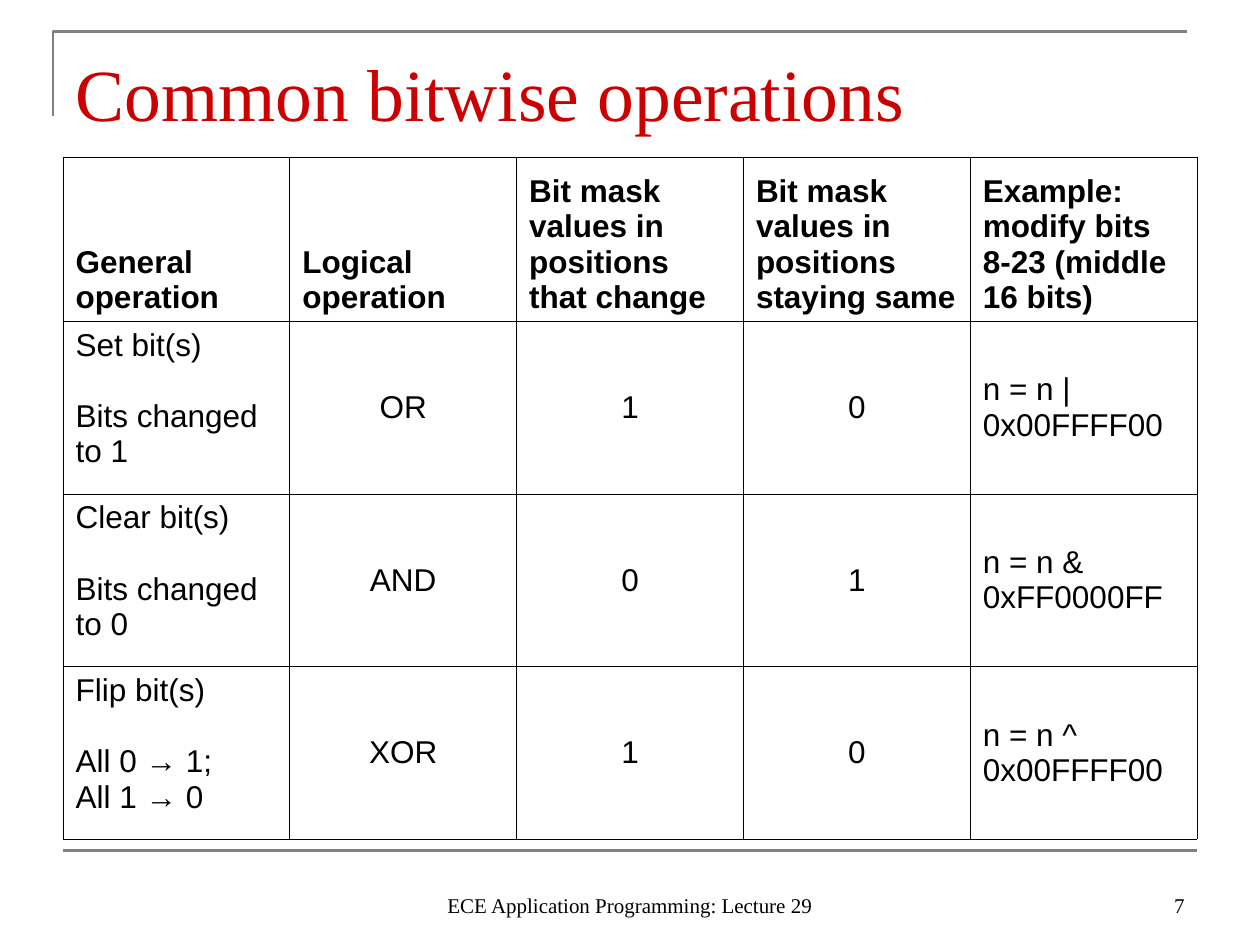
from dataclasses import dataclass

from lxml import etree
from pptx import Presentation
from pptx.dml.color import RGBColor
from pptx.enum.shapes import MSO_CONNECTOR
from pptx.enum.text import MSO_ANCHOR, MSO_AUTO_SIZE, PP_ALIGN
from pptx.oxml.ns import qn
from pptx.util import Inches, Pt

BLACK = RGBColor(0x00, 0x00, 0x00)
WHITE = RGBColor(0xFF, 0xFF, 0xFF)
GREY = RGBColor(0x80, 0x80, 0x80)
RED = RGBColor(0xCC, 0x00, 0x00)
SANS, SERIF = "Arial", "Times New Roman"
TOP, MID, BASE = MSO_ANCHOR.TOP, MSO_ANCHOR.MIDDLE, MSO_ANCHOR.BOTTOM
LEFT, MIDST, RIGHT = PP_ALIGN.LEFT, PP_ALIGN.CENTER, PP_ALIGN.RIGHT
NO_FIT = MSO_AUTO_SIZE.NONE
STRAIGHT = MSO_CONNECTOR.STRAIGHT

WIDE, HIGH = Inches(10), Inches(7.5)
EDGE = 0.05             # side margin as a share of the width
SPAN = 1 - 2 * EDGE
HEAD_ROW, BODY_ROW = Inches(1.3), Inches(1.37)
GAP = 20.7              # one line of 18 pt text


@dataclass
class Row:
    name: str
    notes: tuple[str, ...]
    logic: str
    change: str
    same: str
    code: str


@dataclass
class Foot:
    text: str
    left: float
    width: float
    align: PP_ALIGN


HEADS = (
    "General operation",
    "Logical operation",
    "Bit mask values in positions that change",
    "Bit mask values in positions staying same",
    "Example: modify bits 8-23 (middle 16 bits)",
)
ROWS = (
    Row("Set bit(s)", ("Bits changed to 1",), "OR", "1", "0", "n = n | 0x00FFFF00"),
    Row("Clear bit(s)", ("Bits changed to 0",), "AND", "0", "1", "n = n & 0xFF0000FF"),
    Row("Flip bit(s)", ("All 0 → 1;", "All 1 → 0"), "XOR", "1", "0",
        "n = n ^ 0x00FFFF00"),
)
FEET = (
    Foot("ECE Application Programming: Lecture 29", 0.34, 0.32, MIDST),
    Foot("7", 0.72, 0.23, RIGHT),
)


def across(share: float) -> int:
    return round(WIDE * share)


def down(share: float) -> int:
    return round(HIGH * share)


def write(frame, *lines: str, size: float = 18, face: str = SANS,
          color: RGBColor = BLACK, bold: bool = False,
          align: PP_ALIGN = LEFT, gap: float = 0) -> None:
    """Fill a text frame; gap is the space after the first line's paragraph."""
    frame.word_wrap = True
    for i, line in enumerate(lines):
        para = frame.paragraphs[0] if i == 0 else frame.add_paragraph()
        para.alignment = align
        para.space_before = Pt(gap if i == 1 else 0)
        run = para.add_run()
        run.text = line
        font = run.font
        font.size, font.name, font.bold = Pt(size), face, bold
        font.color.rgb = color


def stroke(shape) -> None:
    shape.line.color.rgb = GREY
    shape.line.width = Pt(1.5)


def border(cell) -> None:
    props = cell._tc.get_or_add_tcPr()
    for side in ("lnL", "lnR", "lnT", "lnB"):
        line = etree.SubElement(props, qn(f"a:{side}"), w=str(Pt(0.45)))
        fill = etree.SubElement(line, qn("a:solidFill"))
        etree.SubElement(fill, qn("a:srgbClr"), val=str(BLACK))


def put(cell, *lines: str, anchor: MSO_ANCHOR = MID, **form) -> None:
    border(cell)
    cell.fill.solid()
    cell.fill.fore_color.rgb = WHITE
    cell.vertical_anchor = anchor
    write(cell.text_frame, *lines, **form)


def add_rules(shapes) -> None:
    left, top = Inches(0.42), Inches(0.25)
    pen = shapes.build_freeform(left, Inches(0.92))
    pen.add_line_segments([(left, top), (Inches(9.42), top)], close=False)
    frame = pen.convert_to_shape()
    frame.fill.background()
    frame.shadow.inherit = False
    stroke(frame)

    rule = shapes.add_connector(STRAIGHT, across(EDGE), down(0.9),
                                across(1 - EDGE), down(0.9))
    etree.SubElement(rule._element.spPr, qn("a:effectLst"))
    stroke(rule)


def add_title(title) -> None:
    title.left, title.top = across(EDGE), down(0.04)
    title.width, title.height = across(SPAN), Inches(0.78)
    frame = title.text_frame
    frame.auto_size = NO_FIT
    frame.vertical_anchor = BASE
    frame.margin_bottom = 0
    write(frame, "Common bitwise operations", size=42, face=SERIF, color=RED)


def add_grid(shapes) -> None:
    count = len(ROWS)
    table = shapes.add_table(count + 1, len(HEADS), across(EDGE), Inches(1.25),
                             across(SPAN), HEAD_ROW + count * BODY_ROW).table
    table.first_row = table.horz_banding = False
    for col in table.columns:
        col.width = across(SPAN / len(HEADS))
    for i, line in enumerate(table.rows):
        line.height = BODY_ROW if i else HEAD_ROW

    for j, head in enumerate(HEADS):
        put(table.cell(0, j), head, anchor=BASE, bold=True)
    for i, row in enumerate(ROWS, 1):
        put(table.cell(i, 0), row.name, *row.notes, anchor=TOP, gap=GAP)
        for j, text in enumerate((row.logic, row.change, row.same), 1):
            put(table.cell(i, j), text, align=MIDST)
        put(table.cell(i, 4), row.code)


def add_foot(shapes, foot: Foot) -> None:
    box = shapes.add_textbox(across(foot.left), Inches(6.83),
                             across(foot.width), Inches(0.5))
    box.text_frame.vertical_anchor = BASE
    write(box.text_frame, foot.text, size=12, face=SERIF, align=foot.align)


def main() -> None:
    deck = Presentation()
    deck.slide_width, deck.slide_height = WIDE, HIGH
    slide = deck.slides.add_slide(deck.slide_layouts[5])
    shapes = slide.shapes

    # Frame lines and title
    add_rules(shapes)
    add_title(shapes.title)
    # Table of operations
    add_grid(shapes)
    # Footer and page number
    for foot in FEET:
        add_foot(shapes, foot)

    deck.save("out.pptx")


if __name__ == "__main__":
    main()
